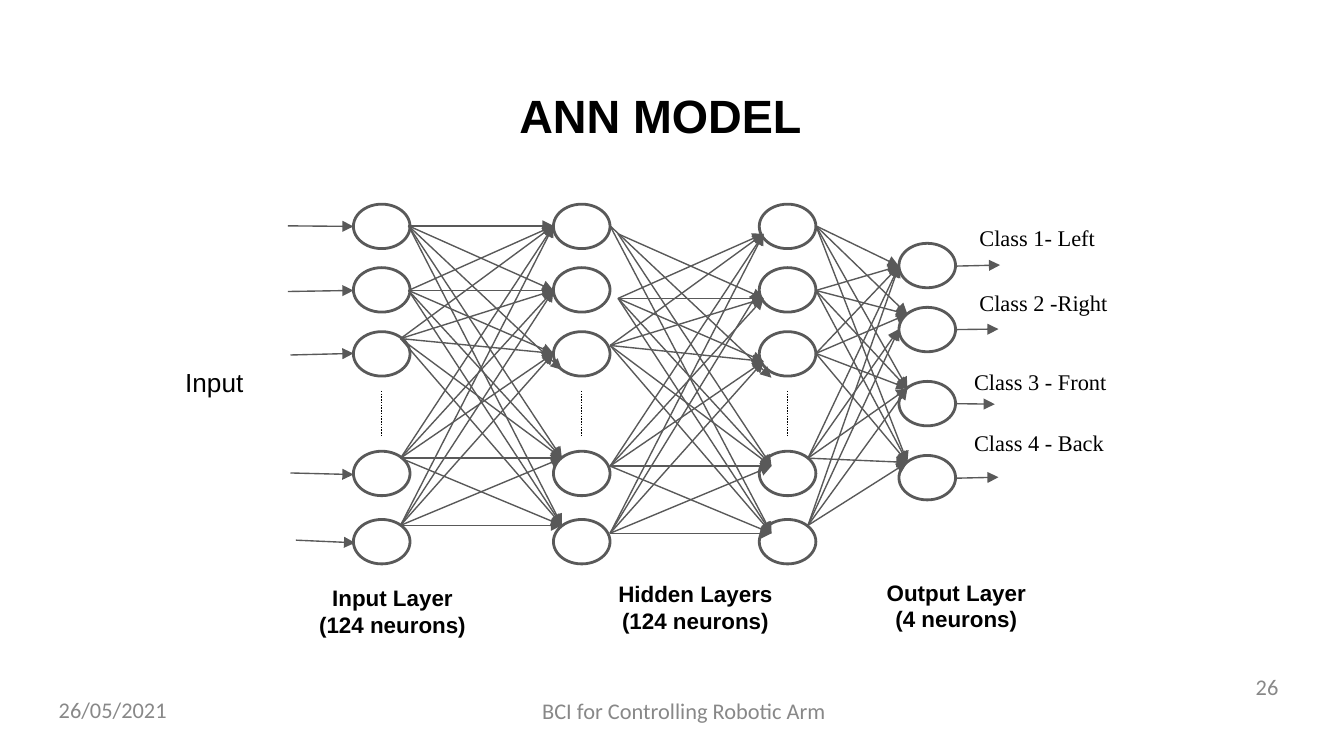
from dataclasses import dataclass, field
from itertools import product
from typing import Optional

from lxml.etree import SubElement as Sub
from pptx import Presentation
from pptx.dml.color import RGBColor as Rgb
from pptx.enum.dml import MSO_LINE as Dash
from pptx.enum.shapes import MSO_CONNECTOR as Conn, MSO_SHAPE as Kind
from pptx.enum.text import MSO_ANCHOR as Anchor, PP_ALIGN as Align
from pptx.oxml.ns import qn
from pptx.util import Cm, Pt

Point = tuple[float, float]


@dataclass(frozen=True)
class Theme:
    ink: Rgb = Rgb(0x00, 0x00, 0x00)
    edge: Rgb = Rgb(0x59, 0x59, 0x59)
    muted: Rgb = Rgb(0x88, 0x88, 0x88)
    paper: Rgb = Rgb(0xFF, 0xFF, 0xFF)
    sans: str = "Arial"
    serif: str = "Times New Roman"
    foot: str = "Calibri"
    head: float = 25
    lead: float = 14
    body: float = 12
    thick: float = 1.5
    thin: float = 0.75


@dataclass(frozen=True)
class Layer:
    left: float
    tops: tuple[float, ...]
    dots: bool = True


@dataclass(frozen=True)
class Mesh:
    starts: list[Point]
    ends: list[Point]
    odd: dict[tuple[int, int], Optional[tuple[Point, Point]]] = field(default_factory=dict)


@dataclass(frozen=True)
class Label:
    lines: tuple[str, ...]
    box: tuple[float, float, float, float]
    font: str
    size: float = 12
    color: Rgb = Rgb(0x00, 0x00, 0x00)
    bold: bool = False
    align: Align = Align.LEFT
    anchor: Anchor = Anchor.TOP
    pad: float = 0.25


THEME = Theme()
WIDE, HIGH = 1.07, 0.84

ROWS = (3.86, 5.06, 6.27, 8.53, 9.82)
LAYERS = [
    Layer(6.68, ROWS),
    Layer(10.46, ROWS),
    Layer(14.35, ROWS),
    Layer(16.99, (4.6, 5.81, 7.21, 8.61), False),
]

FIRST = Mesh(
    [(7.72, 4.27), (7.72, 5.49), (7.57, 6.4), (7.57, 8.66), (7.57, 9.93)],
    [(10.46, 4.27), (10.46, 5.49), (10.46, 6.68), (10.62, 8.66), (10.62, 9.93)],
    {(0, 2): ((7.72, 4.27), (10.62, 6.99))},
)
SECOND = Mesh(
    [(11.68, 4.42), (11.68, 5.64), (11.53, 6.53), (11.53, 8.81), (11.53, 10.08)],
    [(14.43, 4.42), (14.43, 5.64), (14.43, 6.83), (14.58, 8.81), (14.58, 10.08)],
    {
        (0, 0): None,
        (0, 2): ((11.53, 4.27), (14.58, 7.14)),
        (0, 4): ((11.53, 4.27), (14.58, 10.08)),
        (4, 1): ((11.53, 10.08), (14.35, 5.49)),
    },
)
THIRD = Mesh(
    [(15.42, 4.27), (15.42, 5.49), (15.42, 6.68), (15.27, 8.66), (15.27, 9.93)],
    [(16.99, 5.03), (17.15, 5.94), (17.15, 7.34), (17.15, 8.74)],
    {
        (3, 1): ((15.27, 8.66), (16.99, 6.22)),
        (4, 1): ((15.27, 9.93), (16.99, 6.22)),
    },
)

FEEDS = [
    ((5.44, 4.27), (6.68, 4.28)),
    ((5.44, 5.51), (6.68, 5.49)),
    ((5.49, 6.71), (6.68, 6.68)),
    ((5.49, 8.94), (6.68, 8.97)),
    ((5.59, 10.21), (6.71, 10.26)),
]
EXITS = [
    ((18.06, 5.03), (18.9, 5.01)),
    ((18.06, 6.23), (18.87, 6.22)),
    ((18.06, 7.63), (18.8, 7.64)),
    ((18.06, 9.04), (18.87, 9.02)),
]

TITLE = Label(("ANN MODEL ",), (0.76, 1.4, 23.67, 1.6), THEME.sans, THEME.head,
              bold=True, align=Align.CENTER)
CAPTIONS = [
    (("Input Layer", "(124 neurons)"), (5.77, 10.8, 3.3, 1.55)),
    (("Hidden Layers", "(124 neurons)"), (11.38, 10.72, 3.53, 1.55)),
    (("Output Layer", "(4 neurons)"), (16.31, 10.69, 3.53, 1.55)),
]
CLASSES = [
    ("Class 1- Left", (18.26, 3.99, 4.06, 1.02)),
    ("Class 2 -Right", (18.26, 5.21, 3.53, 1.02)),
    ("Class 3 - Front", (18.16, 6.71, 3.3, 1.02)),
    ("Class 4 - Back", (18.16, 7.87, 3.63, 1.02)),
]
LABELS = [
    *(Label(text, box, THEME.sans, bold=True, align=Align.CENTER) for text, box in CAPTIONS),
    *(Label((text,), box, THEME.serif) for text, box in CLASSES),
    Label(("Input",), (3.25, 6.68, 2.72, 1.12), THEME.sans, THEME.lead),
    Label(("26",), (18.49, 12.47, 5.92, 1.02), THEME.foot, color=THEME.muted,
          align=Align.RIGHT, anchor=Anchor.MIDDLE, pad=0.13),
    Label(("26/05/2021",), (0.86, 12.9, 5.92, 1.02), THEME.foot, color=THEME.muted,
          anchor=Anchor.MIDDLE, pad=0.13),
    Label(("BCI for Controlling Robotic Arm ",), (8.81, 12.93, 8.33, 1.02), THEME.foot,
          color=THEME.muted, align=Align.CENTER),
]


def write(shape, label: Label) -> None:
    shape.left, shape.top, shape.width, shape.height = map(Cm, label.box)
    frame = shape.text_frame
    frame.word_wrap = True
    frame.vertical_anchor = label.anchor
    frame.margin_left = frame.margin_right = Cm(0.25)
    frame.margin_top = frame.margin_bottom = Cm(label.pad)
    for i, line in enumerate(label.lines):
        para = frame.add_paragraph() if i else frame.paragraphs[0]
        para.alignment = label.align
        run = para.add_run()
        run.text = line
        font = run.font
        font.name, font.size, font.bold = label.font, Pt(label.size), label.bold
        font.color.rgb = label.color


def link(shapes, start: Point, end: Point, color: Rgb = THEME.edge, arrow: bool = True) -> None:
    line = shapes.add_connector(Conn.STRAIGHT, *map(Cm, (*start, *end)))
    line.line.color.rgb = color
    line.line.width = Pt(THEME.thin)
    props = line._element.spPr
    if arrow:
        Sub(props.get_or_add_ln(), qn("a:tailEnd"), type="triangle")
    else:
        line.line.dash_style = Dash.ROUND_DOT
    Sub(props, qn("a:effectLst"))


def stack(shapes, layer: Layer) -> None:
    for top in layer.tops:
        node = shapes.add_shape(Kind.OVAL, *map(Cm, (layer.left, top, WIDE, HIGH)))
        node.shadow.inherit = False
        node.fill.solid()
        node.fill.fore_color.rgb = THEME.paper
        node.line.color.rgb = THEME.edge
        node.line.width = Pt(THEME.thick)
    if layer.dots:
        mid = layer.left + WIDE / 2
        link(shapes, (mid, 7.39), (mid, 8.26), THEME.ink, False)


def weave(shapes, mesh: Mesh) -> None:
    for (i, start), (j, end) in product(enumerate(mesh.starts), enumerate(mesh.ends)):
        pair = mesh.odd.get((i, j), (start, end))
        if pair:
            link(shapes, *pair)


def main() -> None:
    deck = Presentation()
    deck.slide_width, deck.slide_height = Cm(25.4), Cm(14.29)
    slide = deck.slides.add_slide(deck.slide_layouts[5])
    shapes = slide.shapes
    write(shapes.title, TITLE)
    for layer in LAYERS:
        stack(shapes, layer)
    for mesh in (FIRST, SECOND, THIRD):
        weave(shapes, mesh)
    for start, end in FEEDS + EXITS:
        link(shapes, start, end)
    for label in LABELS:
        write(shapes.add_textbox(*map(Cm, label.box)), label)
    deck.save("out.pptx")


if __name__ == "__main__":
    main()
